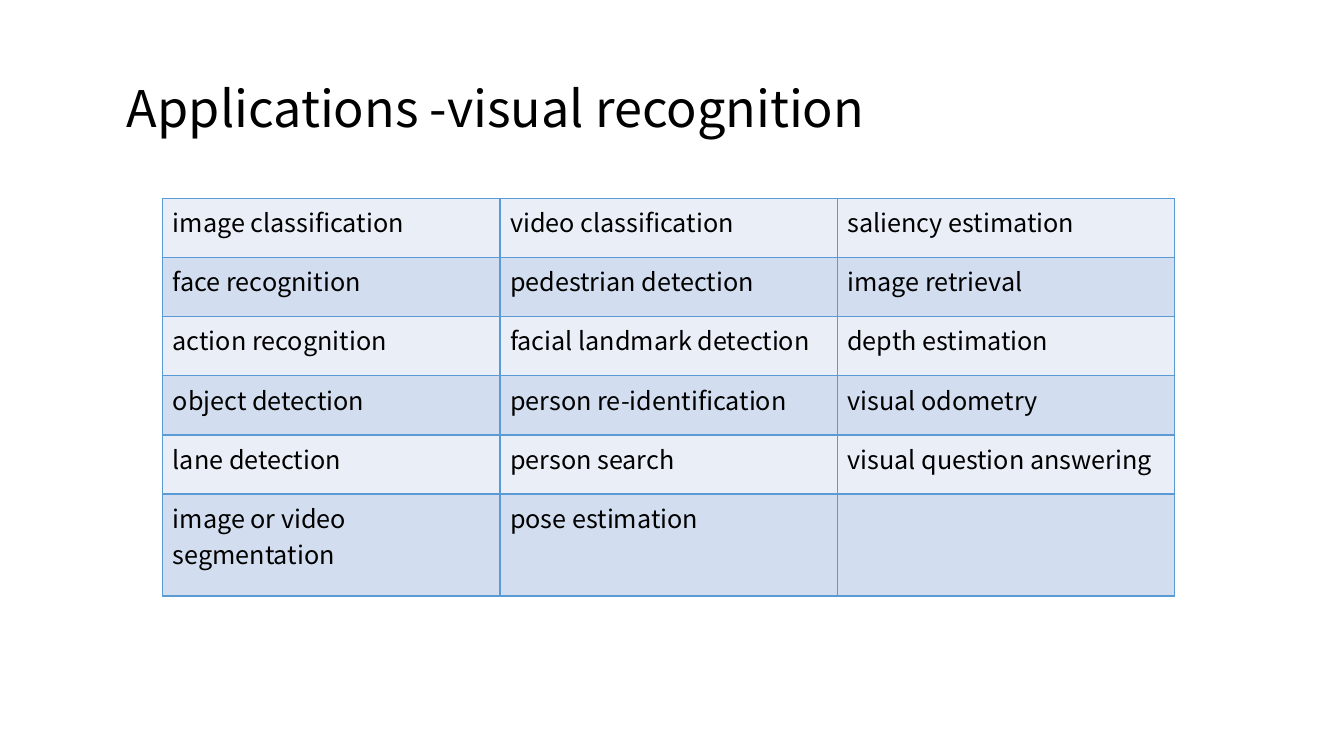
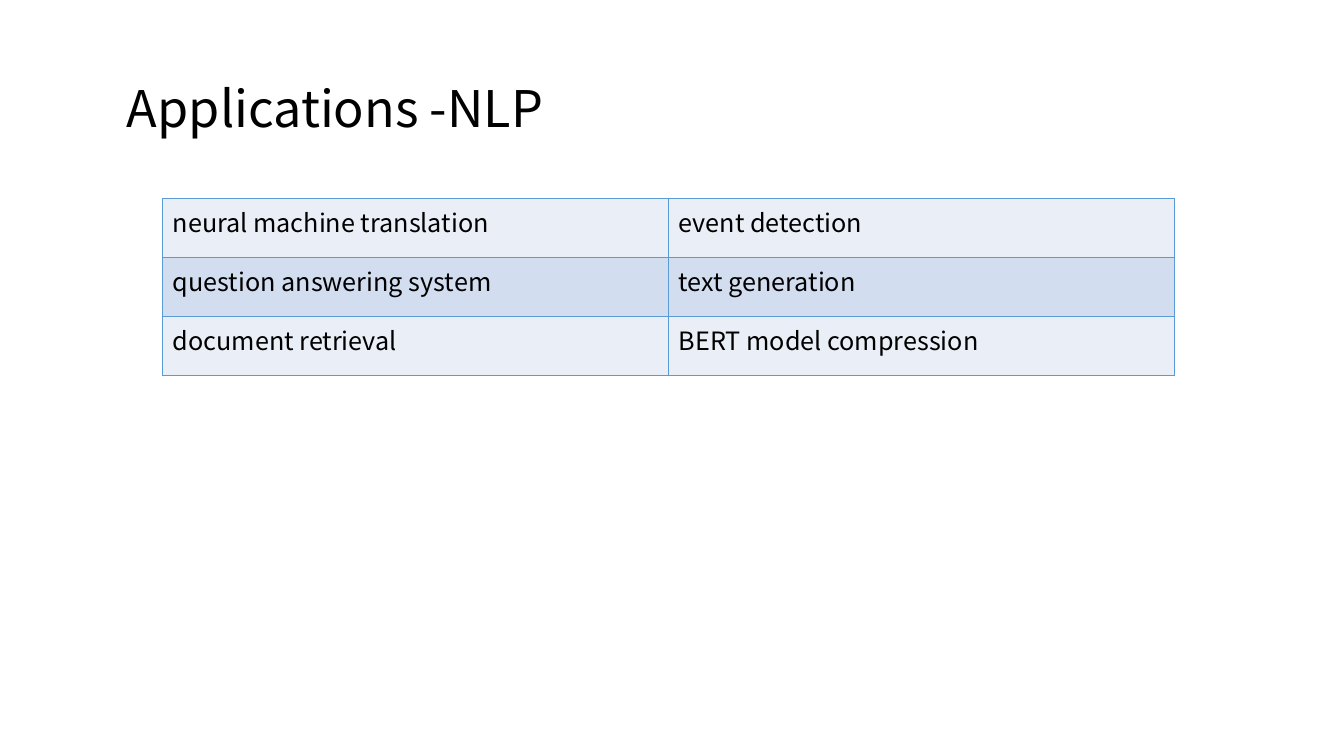
from pptx import Presentation
from pptx.dml.color import RGBColor
from pptx.oxml.ns import qn
from pptx.util import Cm, Pt
from lxml import etree

FONT = "Noto Sans CJK SC"
BLACK, BLUE = "000000", "5B9BD5"
BANDS = ("EAEFF7", "D2DEEF")

# Content: title and table rows of each slide
SLIDES = [
    ("Applications -visual recognition", [
        ("image classification", "video classification", "saliency estimation"),
        ("face recognition", "pedestrian detection", "image retrieval"),
        ("action recognition", "facial landmark detection", "depth estimation"),
        ("object detection", "person re-identification", "visual odometry"),
        ("lane detection", "person search", "visual question answering"),
        ("image or video segmentation", "pose estimation", ""),
    ]),
    ("Applications -NLP", [
        ("neural machine translation", "event detection"),
        ("question answering system", "text generation"),
        ("document retrieval", "BERT model compression"),
    ]),
]

# Layout in centimetres
LEFT, TOP, WIDTH = 4.1, 5.0, 25.5
ROW, TALL = 1.49, 2.57
WRAP = 26  # longest text that fits one line of a cell


def color(code):
    return RGBColor.from_string(code)


def style(para, size):
    font = para.font
    font.name, font.size = FONT, Pt(size)
    font.color.rgb = color(BLACK)


def border(cell):
    props = cell._tc.get_or_add_tcPr()
    for side in ("lnL", "lnR", "lnT", "lnB"):
        line = etree.SubElement(props, qn("a:" + side), w=str(Pt(1)))
        fill = etree.SubElement(line, qn("a:solidFill"))
        etree.SubElement(fill, qn("a:srgbClr"), val=BLUE)


def add_title(slide, text):
    frame = slide.shapes.add_textbox(Cm(2.95), Cm(1.98), Cm(27.25), Cm(1.8)).text_frame
    frame.word_wrap = True
    para = frame.paragraphs[0]
    para.text = text
    para.line_spacing = 0.9
    style(para, 36)


def add_grid(slide, rows):
    count = len(rows[0])
    highs = [TALL if max(map(len, row)) > WRAP else ROW for row in rows]
    table = slide.shapes.add_table(
        len(rows), count, Cm(LEFT), Cm(TOP), Cm(WIDTH), Cm(sum(highs))).table
    table.first_row = table.horz_banding = False
    for col in table.columns:
        col.width = Cm(WIDTH / count)
    for r, row in enumerate(rows):
        table.rows[r].height = Cm(highs[r])
        for c, text in enumerate(row):
            cell = table.cell(r, c)
            border(cell)
            cell.fill.solid()
            cell.fill.fore_color.rgb = color(BANDS[r % 2])
            para = cell.text_frame.paragraphs[0]
            para.text = text
            style(para, 18)


def main():
    deck = Presentation()
    deck.slide_width, deck.slide_height = Cm(33.87), Cm(19.05)
    blank = deck.slide_layouts[6]
    for title, rows in SLIDES:
        slide = deck.slides.add_slide(blank)
        add_title(slide, title)
        add_grid(slide, rows)
    deck.save("out.pptx")


if __name__ == "__main__":
    main()
